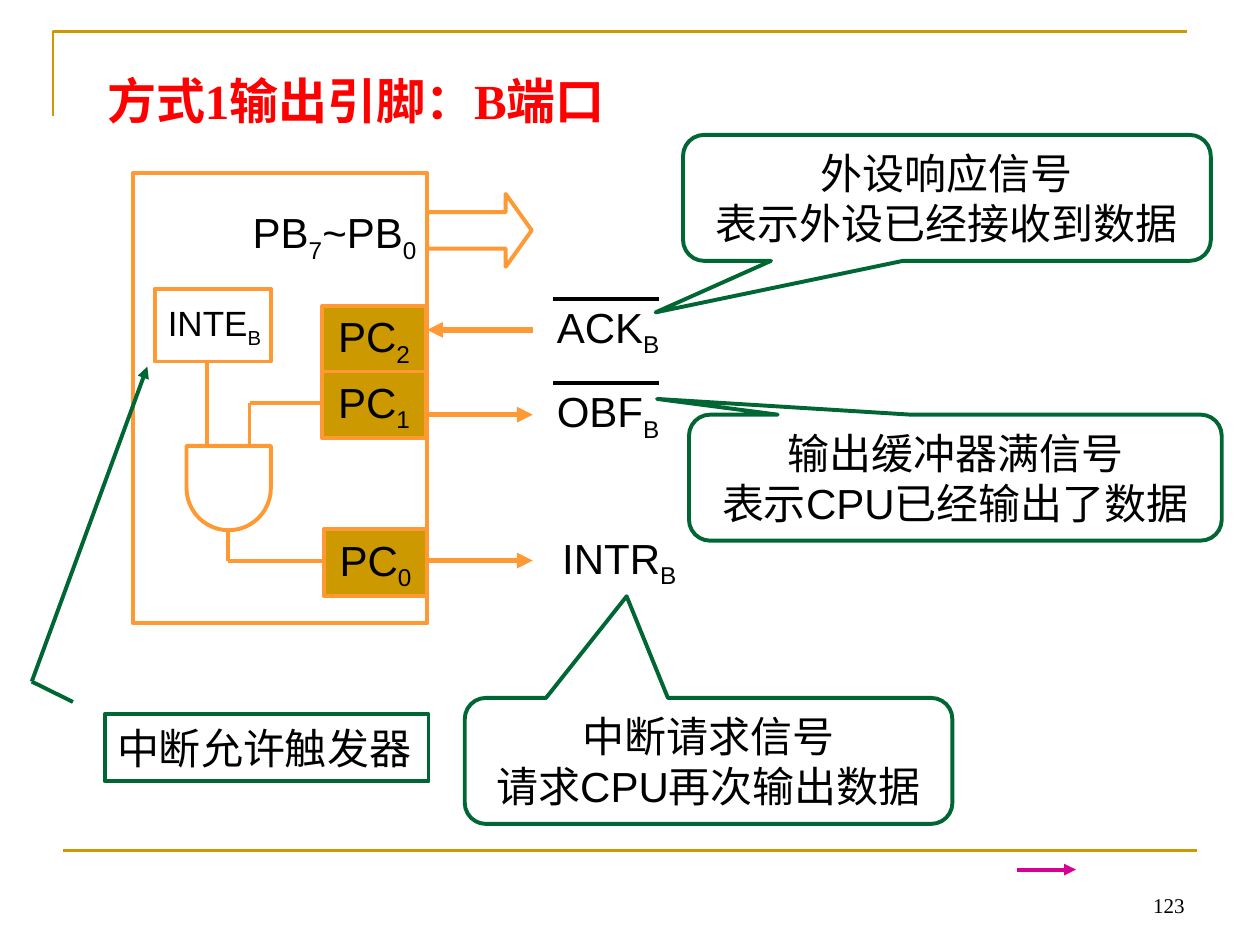
from dataclasses import dataclass

from lxml import etree
from pptx import Presentation
from pptx.dml.color import RGBColor
from pptx.enum.shapes import MSO_CONNECTOR, MSO_SHAPE
from pptx.enum.text import MSO_ANCHOR, PP_ALIGN
from pptx.oxml.ns import qn
from pptx.util import Cm, Pt

STRAIGHT = MSO_CONNECTOR.STRAIGHT
RECTANGLE = MSO_SHAPE.RECTANGLE
CALLOUT = MSO_SHAPE.ROUNDED_RECTANGULAR_CALLOUT
LEFT, CENTER, RIGHT = PP_ALIGN.LEFT, PP_ALIGN.CENTER, PP_ALIGN.RIGHT
MIDDLE, BOTTOM = MSO_ANCHOR.MIDDLE, MSO_ANCHOR.BOTTOM

GOLD, ORANGE, GREEN = "CC9900", "FF9933", "006633"
BLACK, WHITE, RED, MAGENTA = "000000", "FFFFFF", "FF0000", "D60093"
LATIN, SERIF = "Arial", "Times New Roman"


@dataclass(frozen=True)
class Box:
    """Position and size in centimetres."""
    left: float
    top: float
    width: float
    height: float

    def lengths(self) -> list:
        return [Cm(v) for v in (self.left, self.top, self.width, self.height)]


@dataclass(frozen=True)
class Style:
    size: float = 24
    font: str = LATIN
    color: str = BLACK
    bold: bool = False
    align: PP_ALIGN = CENTER
    anchor: MSO_ANCHOR = MIDDLE
    wrap: bool = False


@dataclass(frozen=True)
class Line:
    """Straight line through two points in centimetres."""
    start: tuple
    end: tuple
    color: str = ORANGE
    width: float = 2.25
    arrow: bool = False


@dataclass(frozen=True)
class Callout:
    box: Box
    tip: tuple
    lines: tuple


BODY = Style()

# Each paragraph alternates normal text and subscript.
PINS = [
    (Box(6.5, 6.17, 2.08, 1.35), ("PC", "2")),
    (Box(6.5, 7.49, 2.08, 1.35), ("PC", "1")),
    (Box(6.53, 10.67, 2.08, 1.35), ("PC", "0")),
]
LABELS = [
    (Box(4.8, 4.11, 3.89, 1.27), ("PB", "7", "~PB", "0"), BODY),
    (Box(3.12, 6.02, 2.41, 1.09), ("INTE", "B"), Style(size=20)),
    (Box(10.95, 7.72, 2.62, 1.27), ("OBF", "B"), BODY),
    (Box(11.05, 10.67, 2.87, 1.27), ("INTR", "B"), BODY),
    (Box(10.95, 6.02, 2.62, 1.27), ("ACK", "B"), BODY),
]
CALLOUTS = [
    Callout(Box(13.77, 2.72, 10.64, 2.54), (-0.552, 0.909),
            ("外设响应信号", "表示外设已经接收到数据")),
    Callout(Box(13.89, 8.36, 10.74, 2.54), (-0.56, -0.625),
            ("输出缓冲器满信号", "表示CPU已经输出了数据")),
    Callout(Box(9.37, 14.07, 9.83, 2.54), (-0.168, -1.307),
            ("中断请求信号", "请求CPU再次输出数据")),
]
WIRES = [
    Line((4.6, 10.67), (4.6, 11.3)),
    Line((6.5, 11.3), (4.6, 11.3)),
    Line((4.17, 7.29), (4.17, 8.99)),
    Line((5.03, 8.13), (6.5, 8.13)),
    Line((5.03, 8.13), (5.03, 8.99)),
]
SIGNALS = [
    Line((8.61, 11.3), (10.74, 11.3), width=3, arrow=True),
    Line((8.61, 8.36), (10.74, 8.36), width=3, arrow=True),
    Line((10.74, 6.65), (8.61, 6.65), width=3, arrow=True),
]
OVERLINES = [Line((11.15, y), (13.28, y), BLACK) for y in (6.02, 7.72)]
POINTERS = [
    Line((0.64, 13.74), (2.97, 7.39), GREEN, arrow=True),
    Line((0.64, 13.74), (1.47, 14.15), GREEN),
    Line((20.5, 17.53), (21.69, 17.53), MAGENTA, arrow=True),
]


def rgb(value: str) -> RGBColor:
    return RGBColor.from_string(value)


def write(shape, paragraphs: list, style: Style = BODY) -> None:
    frame = shape.text_frame
    frame.word_wrap = style.wrap
    frame.vertical_anchor = style.anchor
    for index, parts in enumerate(paragraphs):
        paragraph = frame.add_paragraph() if index else frame.paragraphs[0]
        paragraph.alignment = style.align
        for position, text in enumerate(parts):
            run = paragraph.add_run()
            run.text = text
            run.font.size = Pt(style.size)
            run.font.name = style.font
            run.font.bold = style.bold
            run.font.color.rgb = rgb(style.color)
            if position % 2:
                run._r.get_or_add_rPr().set("baseline", "-25000")


def paint(shape, line: str, fill: str | None = None, width: float = 2.25) -> None:
    shape.shadow.inherit = False
    shape.line.color.rgb = rgb(line)
    shape.line.width = Pt(width)
    if fill:
        shape.fill.solid()
        shape.fill.fore_color.rgb = rgb(fill)
    else:
        shape.fill.background()


def add_outline(slide, kind: MSO_SHAPE, box: Box, line: str,
                fill: str | None = None, adjustments: tuple = ()):
    shape = slide.shapes.add_shape(kind, *box.lengths())
    for index, value in enumerate(adjustments):
        shape.adjustments[index] = value
    paint(shape, line, fill)
    return shape


def add_text(slide, box: Box, parts: tuple, style: Style) -> None:
    write(slide.shapes.add_textbox(*box.lengths()), [parts], style)


def add_line(slide, line: Line) -> None:
    points = [Cm(v) for v in (*line.start, *line.end)]
    connector = slide.shapes.add_connector(STRAIGHT, *points)
    connector.line.color.rgb = rgb(line.color)
    connector.line.width = Pt(line.width)
    if line.arrow:
        outline = connector.line._get_or_add_ln()
        etree.SubElement(outline, qn("a:tailEnd"), type="triangle")
    etree.SubElement(connector._element.spPr, qn("a:effectLst"))


def add_frame(slide) -> None:
    """Draw the gold corner and the rule at the foot."""
    builder = slide.shapes.build_freeform(Cm(1.07), Cm(2.34))
    corner = [(Cm(1.07), Cm(0.64)), (Cm(23.93), Cm(0.64))]
    builder.add_line_segments(corner, close=False)
    paint(builder.convert_to_shape(), GOLD, width=1.5)
    add_line(slide, Line((1.27, 17.15), (24.13, 17.15), GOLD, 1.5))


def main() -> None:
    presentation = Presentation()
    presentation.slide_width, presentation.slide_height = Cm(25.4), Cm(19.05)
    slide = presentation.slides.add_slide(presentation.slide_layouts[6])

    add_frame(slide)
    add_text(slide, Box(1.91, 1.12, 14.27, 1.78), ("方式1输出引脚：B端口",),
             Style(28, SERIF, RED, True, LEFT, wrap=True))

    add_outline(slide, RECTANGLE, Box(2.69, 3.48, 5.92, 9.09), ORANGE, WHITE)
    for box, parts in PINS:
        write(add_outline(slide, RECTANGLE, box, ORANGE, GOLD), [parts])
    add_outline(slide, MSO_SHAPE.RIGHT_ARROW, Box(8.61, 3.91, 2.11, 1.47),
                ORANGE, adjustments=(0.5, 0.357))
    gate = add_outline(slide, MSO_SHAPE.FLOWCHART_DELAY,
                       Box(3.76, 8.99, 1.7, 1.7), ORANGE)
    gate.rotation = 90
    add_outline(slide, RECTANGLE, Box(3.12, 5.82, 2.34, 1.47), ORANGE)

    for line in WIRES + SIGNALS + OVERLINES:
        add_line(slide, line)
    for box, parts, style in LABELS:
        add_text(slide, box, parts, style)

    for callout in CALLOUTS:
        shape = add_outline(slide, CALLOUT, callout.box, GREEN,
                            adjustments=(*callout.tip, 0.167))
        write(shape, [(text,) for text in callout.lines])
    trigger = add_outline(slide, RECTANGLE, Box(2.11, 14.4, 6.53, 1.35), GREEN)
    write(trigger, [("中断允许触发器",)], Style(align=LEFT))
    for line in POINTERS:
        add_line(slide, line)

    add_text(slide, Box(18.21, 17.35, 5.92, 1.27), ("123",),
             Style(12, SERIF, align=RIGHT, anchor=BOTTOM, wrap=True))
    presentation.save("out.pptx")


if __name__ == "__main__":
    main()
